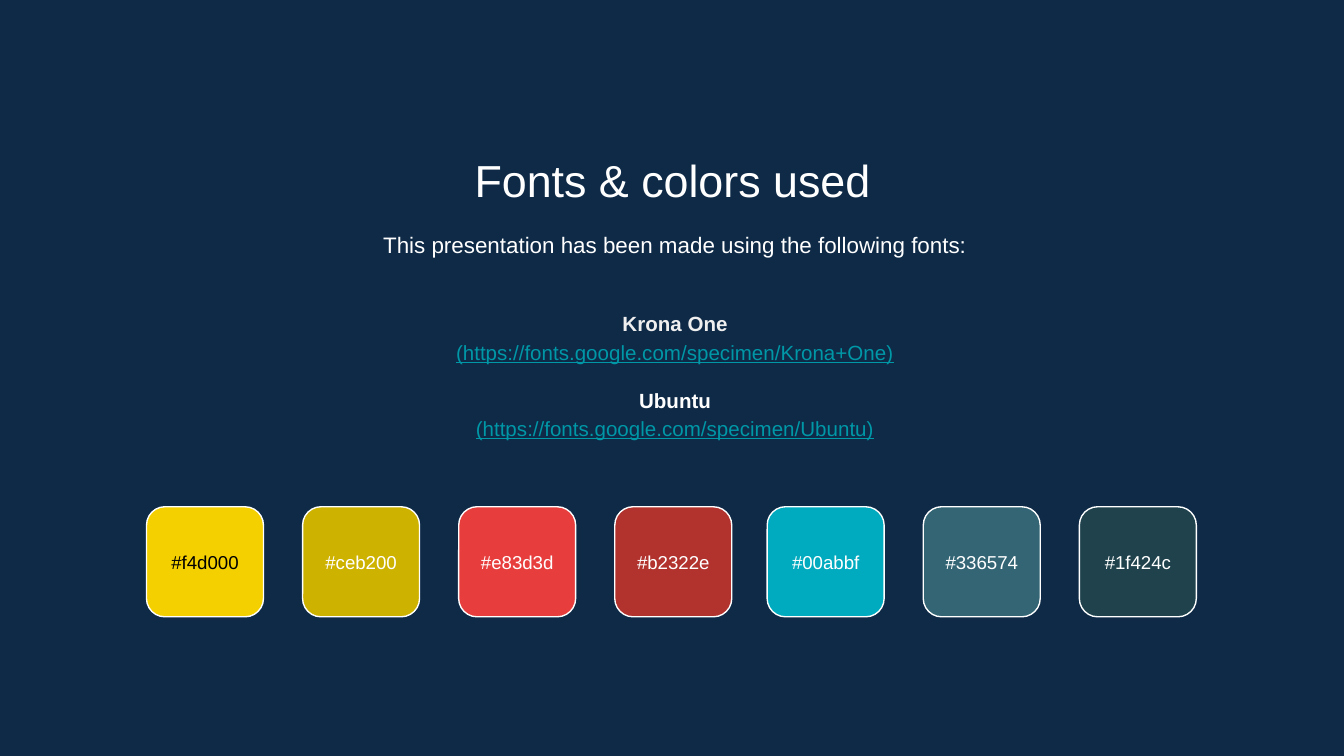
from lxml import etree
from pptx import Presentation
from pptx.dml.color import RGBColor
from pptx.enum.shapes import MSO_SHAPE
from pptx.enum.text import MSO_ANCHOR, MSO_AUTO_SIZE, PP_ALIGN
from pptx.oxml.ns import qn
from pptx.util import Cm, Pt

CENTER = PP_ALIGN.CENTER
TOP, MIDDLE = MSO_ANCHOR.TOP, MSO_ANCHOR.MIDDLE
NO_AUTOFIT = MSO_AUTO_SIZE.NONE
ROUNDED = MSO_SHAPE.ROUNDED_RECTANGLE

TWO_CONTENT = 3
FONT = "Arial"
NAVY, WHITE, BLACK, PALE, TEAL = "0E2A47", "FFFFFF", "000000", "EFEFEF", "0097A7"
INSET = 0.25

WARM_COLORS = ["#f4d000", "#ceb200", "#e83d3d", "#b2322e"]
COOL_COLORS = ["#00abbf", "#336574", "#1f424c"]
SWATCH_W, SWATCH_PITCH, LABEL_H = 2.21, 2.95, 1.22


def rgb(value):
    return RGBColor.from_string(value.lstrip("#").upper())


def place(shape, left, top, width, height):
    shape.left, shape.top = Cm(left), Cm(top)
    shape.width, shape.height = Cm(width), Cm(height)


def prepare_frame(frame, anchor):
    frame.word_wrap = True
    frame.auto_size = NO_AUTOFIT
    frame.vertical_anchor = anchor
    frame.margin_left = frame.margin_right = Cm(INSET)
    frame.margin_top = frame.margin_bottom = Cm(INSET)


def write(paragraph, text, size, color, bold=False, underline=False,
          spacing=1.0, before=0):
    """Fill one centred paragraph without a bullet."""
    paragraph.text = text
    properties = paragraph._p.get_or_add_pPr()
    properties.set("marL", "0")
    properties.set("indent", "0")
    etree.SubElement(properties, qn("a:buNone"))
    paragraph.alignment = CENTER
    paragraph.line_spacing = spacing
    paragraph.space_before = Pt(before)
    font = paragraph.font
    font.name, font.size = FONT, Pt(size)
    font.bold, font.underline = bold, underline
    font.color.rgb = rgb(color)


def add_heading(title, box):
    place(title, *box)
    prepare_frame(title.text_frame, TOP)
    write(title.text_frame.paragraphs[0], "Fonts & colors used", 24, WHITE)


def add_intro(body, box):
    place(body, *box)
    prepare_frame(body.text_frame, TOP)
    write(body.text_frame.paragraphs[0],
          "This presentation has been made using the following fonts:",
          12, WHITE, spacing=1.15)


def add_font_list(body, box):
    place(body, *box)
    frame = body.text_frame
    prepare_frame(frame, MIDDLE)
    fonts = [("Krona One", PALE, "(https://fonts.google.com/specimen/Krona+One)", 0),
             ("Ubuntu", WHITE, "(https://fonts.google.com/specimen/Ubuntu)", 10.6)]
    for name, color, address, gap in fonts:
        heading = frame.add_paragraph() if gap else frame.paragraphs[0]
        write(heading, name, 11, color, bold=True, spacing=1.15, before=gap)
        write(frame.add_paragraph(), address, 11, TEAL, underline=True, spacing=1.15)


def add_swatches(shapes, colors, left, top, height):
    """Lay out a row of labelled colour swatches."""
    for column, code in enumerate(colors):
        x = left + column * SWATCH_PITCH
        swatch = shapes.add_shape(ROUNDED, Cm(x), Cm(top), Cm(SWATCH_W), Cm(height))
        swatch.shadow.inherit = False
        swatch.fill.solid()
        swatch.fill.fore_color.rgb = rgb(code)
        swatch.line.color.rgb = rgb(WHITE)
        swatch.line.width = Pt(0.75)

        label = shapes.add_textbox(Cm(x), Cm(top + (height - LABEL_H) / 2),
                                   Cm(SWATCH_W), Cm(LABEL_H))
        prepare_frame(label.text_frame, MIDDLE)
        write(label.text_frame.paragraphs[0], code, 10,
              BLACK if code == WARM_COLORS[0] else WHITE)


def main():
    deck = Presentation()
    deck.slide_width, deck.slide_height = Cm(25.4), Cm(14.29)
    slide = deck.slides.add_slide(deck.slide_layouts[TWO_CONTENT])
    slide.background.fill.solid()
    slide.background.fill.fore_color.rgb = rgb(NAVY)

    # Heading and font names
    title, intro, font_list = slide.placeholders
    add_heading(title, (2.92, 2.64, 19.58, 1.35))
    add_intro(intro, (2.97, 4.04, 19.58, 1.22))
    add_font_list(font_list, (2.97, 5.33, 19.58, 3.48))

    # Colour palette: cool colours on the right, warm ones grouped on the left
    add_swatches(slide.shapes, COOL_COLORS, 14.5, 9.58, 2.08)
    warm_group = slide.shapes.add_group_shape()
    add_swatches(warm_group.shapes, WARM_COLORS, 2.77, 9.58, 2.08)

    deck.save("out.pptx")


if __name__ == "__main__":
    main()
